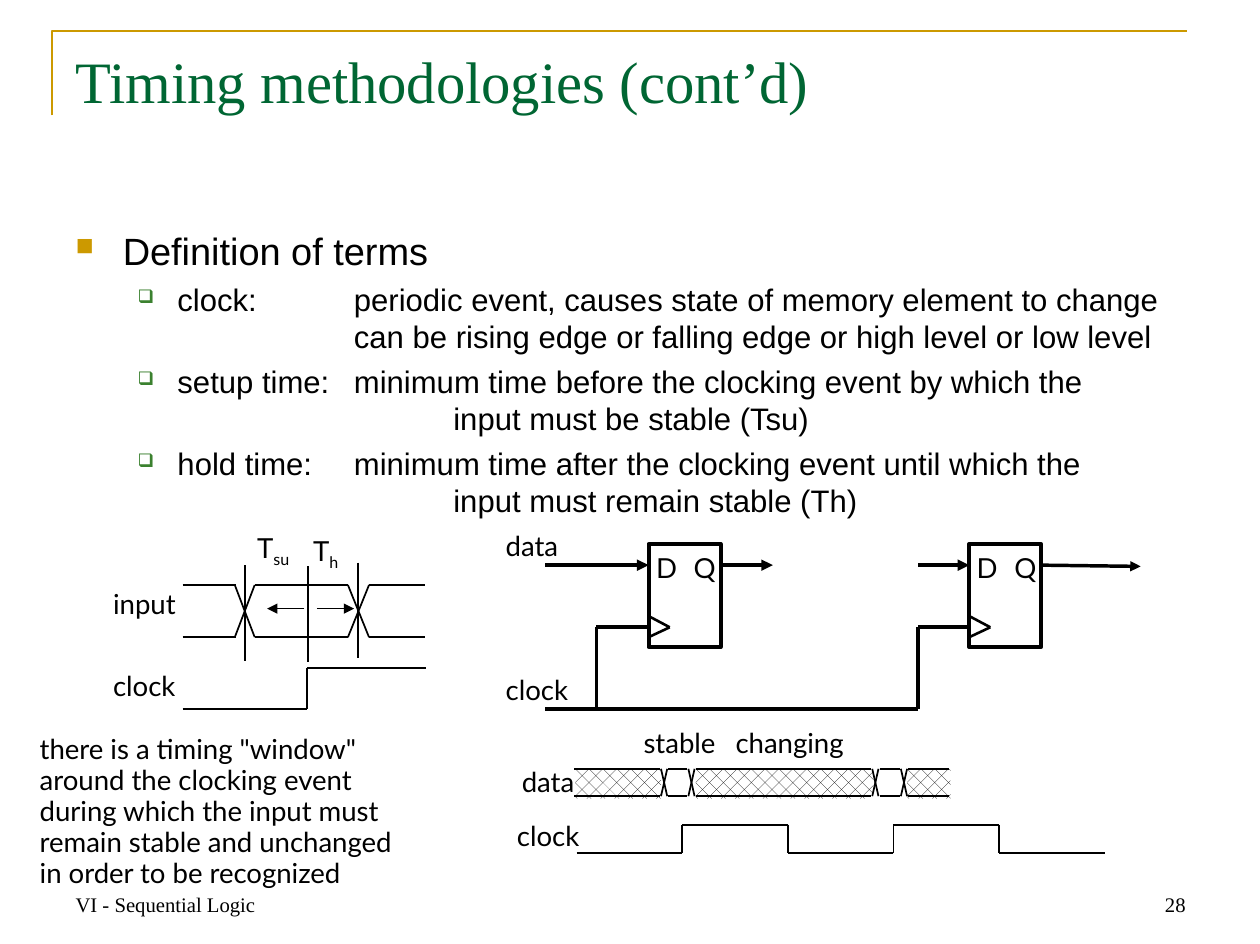
from itertools import pairwise

from lxml.etree import SubElement
from pptx import Presentation
from pptx.dml.color import RGBColor
from pptx.enum.dml import MSO_PATTERN
from pptx.enum.shapes import MSO_CONNECTOR, MSO_SHAPE
from pptx.enum.text import MSO_ANCHOR, PP_ALIGN
from pptx.oxml.ns import qn
from pptx.util import Inches, Pt

BLACK = RGBColor(0x00, 0x00, 0x00)
WHITE = RGBColor(0xFF, 0xFF, 0xFF)
GOLD = RGBColor(0xCC, 0x99, 0x00)
TITLE_GREEN = RGBColor(0x00, 0x66, 0x33)
BULLET_GREEN = RGBColor(0x3B, 0x81, 0x2F)

TERMS = [
    "clock:\tperiodic event, causes state of memory element to change\v"
    "\tcan be rising edge or falling edge or high level or low level",
    "setup time:\tminimum time before the clocking event by which the\v"
    "\t\tinput must be stable (Tsu)",
    "hold time:\tminimum time after the clocking event until which the\v"
    "\t\tinput must remain stable (Th)",
]
WINDOW_NOTE = (
    'there is a timing "window"\varound the clocking event\v'
    "during which the input must\vremain stable and unchanged\v"
    "in order to be recognized"
)


def set_font(para, name, size, color=BLACK):
    para.font.name = name
    para.font.size = Pt(size)
    para.font.color.rgb = color


def add_box(page, left, top, width, height, margins=(0.1, 0.05)):
    box = page.shapes.add_textbox(Inches(left), Inches(top), Inches(width), Inches(height))
    frame = box.text_frame
    frame.word_wrap = True
    frame.margin_left = frame.margin_right = Inches(margins[0])
    frame.margin_top = frame.margin_bottom = Inches(margins[1])
    return frame


def add_serif(page, text, at, size, color=BLACK, anchor=MSO_ANCHOR.TOP, align=PP_ALIGN.LEFT):
    frame = add_box(page, *at)
    frame.vertical_anchor = anchor
    para = frame.paragraphs[0]
    para.text = text
    para.alignment = align
    set_font(para, "Times New Roman", size, color)


def add_label(page, text, left, top, width=0.9, height=0.3, spacing=13.9,
              subscript="", align=PP_ALIGN.LEFT):
    para = add_box(page, left, top, width, height, (0.02, 0.03)).paragraphs[0]
    para.text = text
    para.alignment = align
    para.line_spacing = Pt(spacing)
    set_font(para, "Lato", 16)
    if subscript:
        span = para.add_run()
        span.text = subscript
        span._r.get_or_add_rPr().set("baseline", "-25000")


def add_line(page, start, end, width=1, arrow=False):
    line = page.shapes.add_connector(
        MSO_CONNECTOR.STRAIGHT, *(Inches(value) for value in (*start, *end)))
    line.line.color.rgb = BLACK
    line.line.width = Pt(width)
    if arrow:
        SubElement(line.line._get_or_add_ln(), qn("a:tailEnd"), type="triangle")
    SubElement(line._element.spPr, qn("a:effectLst"))


def add_trace(page, points, width=1):
    """Join the points, in order, with straight lines."""
    for start, end in pairwise(points):
        add_line(page, start, end, width)


def add_rails(page, left, right, top, bottom):
    for level in (top, bottom):
        add_line(page, (left, level), (right, level))


def add_crossing(page, left, right, top, bottom):
    add_line(page, (left, top), (right, bottom))
    add_line(page, (left, bottom), (right, top))


def add_rectangle(page, left, top, width, height):
    shape = page.shapes.add_shape(
        MSO_SHAPE.RECTANGLE, Inches(left), Inches(top), Inches(width), Inches(height))
    shape.shadow.inherit = False
    return shape


def add_frame_rule(page):
    builder = page.shapes.build_freeform(Inches(0.42), Inches(0.93))
    builder.add_line_segments(
        [(Inches(0.42), Inches(0.25)), (Inches(9.55), Inches(0.25))], close=False)
    rule = builder.convert_to_shape()
    rule.shadow.inherit = False
    rule.fill.background()
    rule.line.color.rgb = GOLD
    rule.line.width = Pt(1.5)


def add_bullet(para, symbol, color, percent, margin, indent):
    properties = para._p.get_or_add_pPr()
    properties.set("marL", str(Inches(margin)))
    properties.set("indent", str(Inches(-indent)))
    SubElement(SubElement(properties, qn("a:buClr")), qn("a:srgbClr"), val=str(color))
    SubElement(properties, qn("a:buSzPct"), val=str(percent * 1000))
    SubElement(properties, qn("a:buChar"), char=symbol)
    tabs = SubElement(properties, qn("a:tabLst"))
    for stop in (2.24, 3.04):
        SubElement(tabs, qn("a:tab"), pos=str(Inches(stop)), algn="l")


def add_definitions(page):
    frame = add_box(page, 0.51, 1.78, 9.12, 2.5)
    heading = frame.paragraphs[0]
    heading.text = "Definition of terms"
    add_bullet(heading, "■", GOLD, 65, 0.38, 0.38)
    set_font(heading, "Arial", 22)
    for term in TERMS:
        para = frame.add_paragraph()
        para.text = term
        para.level = 1
        para.space_before = Pt(4.4)
        add_bullet(para, "❑", BULLET_GREEN, 60, 0.82, 0.32)
        set_font(para, "Arial", 18)


def add_timing_window(page):
    top, bottom = 4.71, 5.13
    for left, right in ((1.47, 1.9), (2.05, 2.8), (2.97, 3.42)):
        add_rails(page, left, right, top, bottom)
    for left, right in ((1.89, 2.05), (2.8, 2.97)):
        add_crossing(page, left, right, top, bottom)
    for x, start in ((1.97, 4.55), (2.48, 4.56), (2.88, 4.53)):
        add_line(page, (x, start), (x, start + 0.77))
    add_trace(page, [(1.47, 5.71), (2.47, 5.71), (2.47, 5.38), (3.43, 5.38)])
    add_line(page, (2.45, 4.9), (2.15, 4.9), arrow=True)
    add_line(page, (2.55, 4.9), (2.85, 4.9), arrow=True)
    for text, left, label_top, subscript in (
            ("input", 0.89, 4.71, ""), ("clock", 0.89, 5.37, ""),
            ("T", 2.05, 4.3, "su"), ("T", 2.5, 4.32, "h")):
        add_label(page, text, left, label_top, 0.85, 0.44, 18, subscript)
    add_label(page, WINDOW_NOTE, 0.3, 5.88, 3.2, 1.39, 18)


def add_flip_flop(page, left):
    """Draw a flip-flop with its D input arrow and clock input."""
    body = add_rectangle(page, left, 4.38, 0.58, 0.83)
    body.fill.background()
    body.line.color.rgb = BLACK
    body.line.width = Pt(2.25)
    add_label(page, "D", left + 0.04, 4.46, 0.29, 0.25, 15)
    add_label(page, "Q", left + 0.25, 4.46, 0.31, 0.25, 15, align=PP_ALIGN.RIGHT)
    add_trace(page, [(left, 4.96), (left + 0.17, 5.05), (left, 5.13)], 1.5)


def add_circuit(page):
    for left, data_start, clock_x in ((5.22, 4.39, 4.8), (7.8, 7.39, 7.39)):
        add_flip_flop(page, left)
        add_line(page, (data_start, 4.55), (left, 4.55), 2.25, arrow=True)
        add_trace(page, [(left, 5.05), (clock_x, 5.05), (clock_x, 5.71)], 2.25)
    add_line(page, (5.8, 4.55), (6.22, 4.55), 2.25, arrow=True)
    add_line(page, (8.39, 4.55), (9.18, 4.56), 2, arrow=True)
    add_line(page, (4.39, 5.71), (7.39, 5.71), 2.25)
    add_label(page, "data", 4.05, 4.3)
    add_label(page, "clock", 4.05, 5.46)


def add_waveforms(page):
    top, bottom = 6.19, 6.41
    for left, right in ((4.63, 5.32), (5.6, 7.03), (7.3, 7.65)):
        changing = add_rectangle(page, left, top, right - left, 0.24)
        changing.fill.patterned()
        changing.fill.pattern = MSO_PATTERN.PERCENT_25
        changing.fill.fore_color.rgb = BLACK
        changing.fill.back_color.rgb = WHITE
        changing.line.fill.background()
    crossings = (5.32, 5.54, 7.02, 7.25)
    for left in crossings:
        add_crossing(page, left, left + 0.05, top, bottom)
    starts = [4.62] + [x + 0.06 for x in crossings]
    ends = [x - 0.01 for x in crossings] + [7.64]
    for left, right in zip(starts, ends):
        add_rails(page, left, right, top, bottom)

    low, high, half_period = 6.87, 6.64, 0.85
    clock = [(4.64, low)]
    for step in range(1, 5):
        x = 4.64 + step * half_period
        levels = (low, high) if step % 2 else (high, low)
        clock += [(x, level) for level in levels]
    add_trace(page, clock + [(8.89, low)])

    for text, left, label_top in (("clock", 4.14, 6.64), ("data", 4.18, 6.2),
                                  ("changing", 5.9, 5.89), ("stable", 5.16, 5.89)):
        add_label(page, text, left, label_top, 1.1)


def main():
    deck = Presentation()
    deck.slide_width, deck.slide_height = Inches(10.14), Inches(7.6)
    page = deck.slides.add_slide(deck.slide_layouts[6])
    add_frame_rule(page)
    add_serif(page, "Timing methodologies (cont’d)", (0.51, 0.31, 9.12, 1.26), 34, TITLE_GREEN)
    add_serif(page, "VI - Sequential Logic", (0.51, 6.92, 2.37, 0.51), 12,
              anchor=MSO_ANCHOR.BOTTOM)
    add_serif(page, "28", (7.27, 6.92, 2.37, 0.51), 12,
              anchor=MSO_ANCHOR.BOTTOM, align=PP_ALIGN.RIGHT)
    add_definitions(page)
    add_timing_window(page)
    add_circuit(page)
    add_waveforms(page)
    deck.save("out.pptx")


if __name__ == "__main__":
    main()
